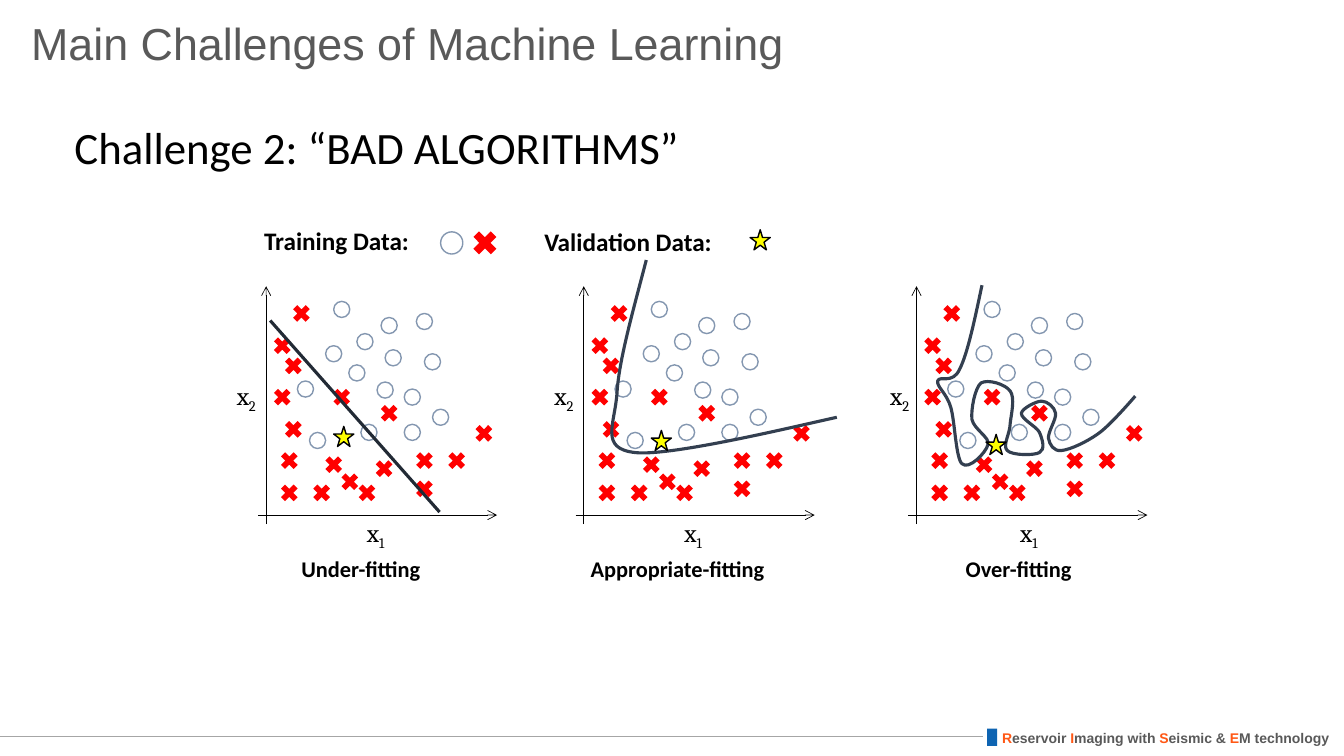
import pptx
import pptx.util
import pptx.dml.color
import pptx.enum.shapes
import pptx.enum.text
import pptx.oxml
import pptx.oxml.ns
from lxml import etree

SHAPES = pptx.enum.shapes.MSO_SHAPE
AUTO_SIZE = pptx.enum.text.MSO_AUTO_SIZE
ANCHOR = pptx.enum.text.MSO_ANCHOR
qn = pptx.oxml.ns.qn

COLORS = {
    "black": "000000", "grey": "595959", "rule": "A6A6A6", "blue": "0E64B2",
    "orange": "FF5815", "circle": "8497B0", "cross": "FF0000", "star": "FFFF00",
    "straight": "222A35", "curve": "333F50",
}

# Centres of the training data, in inches right of and above the axis crossing
CIRCLES = [
    (0.9, 1.41), (1.18, 1.24), (1.45, 1.17), (1.73, 0.97), (1.45, 0.82),
    (0.39, 1.25), (1.02, 0.82), (0.67, 1.6), (0.98, 1.72), (1.65, 1.52),
    (0.75, 2.04), (1.26, 1.56), (1.22, 1.88), (1.57, 1.92), (0.51, 0.74),
]
CROSSES = [
    (0.67, 0.5), (0.83, 0.33), (1, 0.22), (1.17, 0.46), (1.22, 1.01), (0.75, 1.17),
    (0.27, 0.85), (0.23, 0.54), (0.23, 0.22), (0.55, 0.22), (0.16, 1.17), (1.57, 0.26),
    (1.89, 0.54), (2.16, 0.81), (1.57, 0.54), (0.16, 1.68), (0.27, 1.48), (0.35, 2),
]

# Decision boundaries: a start point, then (control, control, end) for each bend
APPROPRIATE = [
    (0.62, 2.53),
    ((0.49, 2.03), (0.35, 1.54), (0.33, 1.22)),
    ((0.31, 0.9), (0.15, 0.66), (0.51, 0.62)),
    ((0.87, 0.58), (2.14, 0.89), (2.51, 0.97)),
]
OVER = [
    (0.65, 2.28),
    ((0.58, 1.95), (0.51, 1.61), (0.43, 1.45)),
    ((0.36, 1.29), (0.23, 1.39), (0.21, 1.33)),
    ((0.2, 1.27), (0.3, 1.21), (0.34, 1.07)),
    ((0.38, 0.94), (0.39, 0.57), (0.45, 0.51)),
    ((0.52, 0.44), (0.69, 0.62), (0.71, 0.7)),
    ((0.73, 0.77), (0.57, 0.85), (0.55, 0.95)),
    ((0.54, 1.05), (0.58, 1.26), (0.64, 1.31)),
    ((0.71, 1.35), (0.88, 1.3), (0.93, 1.23)),
    ((0.98, 1.16), (0.94, 1), (0.93, 0.91)),
    ((0.93, 0.81), (0.85, 0.69), (0.9, 0.64)),
    ((0.95, 0.59), (1.17, 0.59), (1.22, 0.62)),
    ((1.28, 0.65), (1.25, 0.75), (1.22, 0.82)),
    ((1.19, 0.88), (1.04, 0.95), (1.04, 1.01)),
    ((1.05, 1.06), (1.19, 1.13), (1.24, 1.13)),
    ((1.3, 1.13), (1.37, 1.07), (1.38, 1.01)),
    ((1.39, 0.95), (1.3, 0.82), (1.31, 0.76)),
    ((1.32, 0.7), (1.36, 0.63), (1.44, 0.64)),
    ((1.53, 0.65), (1.7, 0.73), (1.82, 0.82)),
    ((1.94, 0.91), (2.17, 1.18), (2.17, 1.18)),
]


def cm(inches):
    return pptx.util.Cm(inches * 2.54)


def rgb(name):
    return pptx.dml.color.RGBColor.from_string(COLORS[name])


def add_text(slide, runs, box, size=18, font="Calibri", color="black", bold=False,
             wrap=False, anchor=ANCHOR.TOP):
    """Runs is a string, or a list of (text, color, baseline)."""
    frame = slide.shapes.add_textbox(*map(cm, box)).text_frame
    frame.word_wrap = wrap
    frame.auto_size = AUTO_SIZE.NONE if wrap else AUTO_SIZE.SHAPE_TO_FIT_TEXT
    frame.vertical_anchor = anchor
    for words, run_color, baseline in [(runs, color, 0)] if isinstance(runs, str) else runs:
        run = frame.paragraphs[0].add_run()
        run.text = words
        run.font.size = pptx.util.Pt(size)
        run.font.name = font
        run.font.bold = bold
        run.font.color.rgb = rgb(run_color)
        if baseline:
            run.font._element.set("baseline", str(baseline * 1000))


def add_line(slide, start, end, color, width, arrow=False):
    line = slide.shapes.add_connector(
        pptx.enum.shapes.MSO_CONNECTOR.STRAIGHT, *map(cm, start + end))
    line.line.color.rgb = rgb(color)
    line.line.width = pptx.util.Pt(width)
    properties = line._element.spPr
    if arrow:
        etree.SubElement(properties.find(qn("a:ln")), qn("a:tailEnd"), type="arrow")
    etree.SubElement(properties, qn("a:effectLst"))


def add_mark(slide, kind, box, fill=None, outline=None):
    mark = slide.shapes.add_shape(kind, *map(cm, box))
    mark.shadow.inherit = False
    if fill:
        mark.fill.solid()
        mark.fill.fore_color.rgb = rgb(fill)
    else:
        mark.fill.background()
    if outline:
        mark.line.color.rgb = rgb(outline)
        mark.line.width = pptx.util.Pt(1)
    else:
        mark.line.fill.background()


def add_circle(slide, x, y, size=0.16):
    add_mark(slide, SHAPES.OVAL, (x - size / 2, y - size / 2, size, size), outline="circle")


def add_cross(slide, x, y, size=0.24):
    add_mark(slide, SHAPES.MATH_MULTIPLY, (x - size / 2, y - size / 2, size, size), fill="cross")


def add_star(slide, x, y, size=0.2):
    add_mark(slide, SHAPES.STAR_5_POINT, (x - size / 2, y - size / 2, size, size),
             fill="star", outline="black")


def add_curve(slide, start, bends):
    """Draw the outline through the bend ends, then turn its sides into Bézier curves."""
    builder = slide.shapes.build_freeform(*map(cm, start))
    builder.add_line_segments([tuple(map(cm, bend[-1])) for bend in bends], close=False)
    curve = builder.convert_to_shape()
    curve.shadow.inherit = False
    curve.fill.background()
    curve.line.color.rgb = rgb("curve")
    curve.line.width = pptx.util.Pt(2.25)
    for side, bend in zip(list(curve._element.iter(qn("a:lnTo"))), bends):
        bezier = etree.Element(qn("a:cubicBezTo"))
        for x, y in bend:
            etree.SubElement(bezier, qn("a:pt"),
                             x=str(cm(x) - curve.left), y=str(cm(y) - curve.top))
        side.getparent().replace(side, bezier)


def draw_footer(slide, left, top):
    add_line(slide, (left, top), (0, top), "rule", 0.5)
    add_mark(slide, SHAPES.RECTANGLE, (left + 0.04, top - 0.08, 0.1, 0.17), fill="blue")
    motto = [("R", "orange"), ("eservoir ", "grey"), ("I", "orange"), ("maging with ", "grey"),
             ("S", "orange"), ("eismic & ", "grey"), ("E", "orange"), ("M technology", "grey")]
    add_text(slide, [(words, color, 0) for words, color in motto],
             (left + 0.09, top - 0.12, 3.48, 0.27), size=10, font="Arial", bold=True)


def draw_legend(slide, left, top):
    add_text(slide, "Training Data:", (left, top, 1.71, 0.4), bold=True)
    add_circle(slide, left + 1.96, top + 0.22, size=0.22)
    add_cross(slide, left + 2.29, top + 0.22, size=0.33)
    add_text(slide, "Validation Data:", (left + 2.78, top + 0.01, 2.2, 0.4), bold=True)
    add_star(slide, left + 5.02, top + 0.19)


def draw_plot(slide, left, bottom, caption, caption_box, star, boundary=None, label_shift=0):
    """Place one scatter plot around its axis crossing at (left, bottom)."""
    def place(point):
        return left + point[0], bottom - point[1]

    # Axes
    add_line(slide, place((0, -0.09)), place((0, 2.27)), "black", 0.5, arrow=True)
    add_line(slide, place((-0.08, 0)), place((2.29, 0)), "black", 0.5, arrow=True)
    for digit, offset, rise in (("2", -0.39, 1.39), ("1", 0.9, 0.03)):
        add_text(slide, [("x", "black", 0), (digit, "black", -25)],
                 (*place((offset + label_shift, rise)), 0.42, 0.4), font="Cambria")

    # Training data
    for point in CIRCLES:
        add_circle(slide, *place(point))
    for point in CROSSES:
        add_cross(slide, *place(point))

    # Decision boundary and validation data
    if boundary:
        add_curve(slide, place(boundary[0]),
                  [tuple(map(place, bend)) for bend in boundary[1:]])
    else:
        add_line(slide, place((0.04, 1.93)), place((1.72, 0.03)), "straight", 2.25)
    add_star(slide, *place(star))

    offset, width = caption_box
    add_text(slide, caption, (left + offset, bottom + 0.35, width, 0.37), size=16, bold=True)


def main():
    deck = pptx.Presentation()
    deck.slide_width, deck.slide_height = cm(13.33), cm(7.5)
    slide = deck.slides.add_slide(deck.slide_layouts[6])

    draw_footer(slide, 9.75, 7.31)
    add_text(slide, "Main Challenges of Machine Learning", (0.21, 0, 11.72, 0.84),
             size=32, font="Arial", color="grey", wrap=True, anchor=ANCHOR.MIDDLE)
    add_text(slide, "Challenge 2: “BAD ALGORITHMS”", (0.64, 1.14, 10.73, 1.04),
             size=32, wrap=True)
    draw_plot(slide, 2.64, 5.11, "Under-fitting", (0.25, 1.59), (0.77, 0.78))
    draw_plot(slide, 5.79, 5.11, "Appropriate-fitting", (-0.03, 2.23), (0.77, 0.74), APPROPRIATE)
    draw_plot(slide, 9.09, 5.11, "Over-fitting", (0.39, 1.44), (0.79, 0.7), OVER,
              label_shift=0.03)
    draw_legend(slide, 2.52, 2.19)
    deck.save("out.pptx")


if __name__ == "__main__":
    main()
